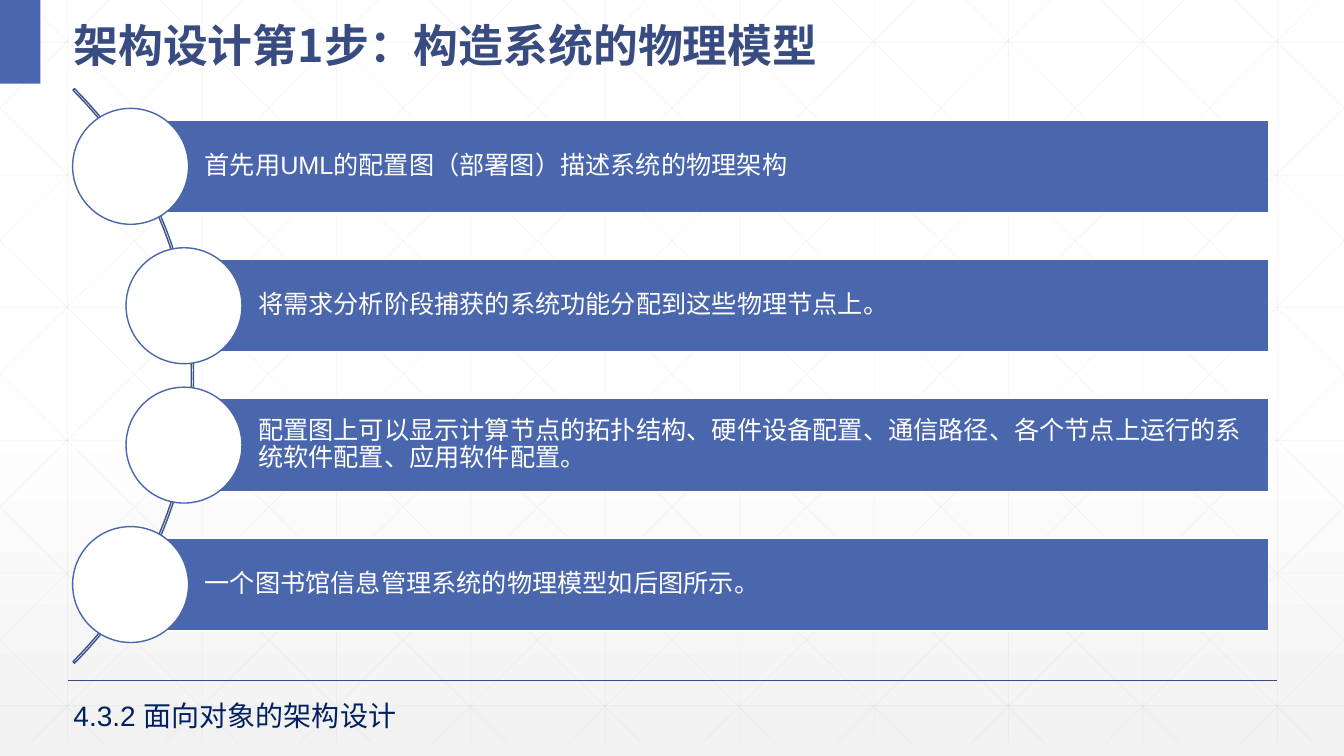
from lxml.etree import SubElement as Sub
from pptx import Presentation
from pptx.dml.color import RGBColor as RGB
from pptx.enum.shapes import MSO_CONNECTOR as Link, MSO_SHAPE as Form
from pptx.enum.text import MSO_ANCHOR as Anchor, PP_ALIGN as Align
from pptx.oxml.ns import qn
from pptx.util import Inches, Pt


class Theme:
    blue = RGB.from_string("4A66AC")
    navy = RGB.from_string("384C81")
    arc = RGB.from_string("3B528A")
    foot = RGB.from_string("002060")
    white = RGB.from_string("FFFFFF")
    pale = RGB.from_string("F2F2F2")
    mesh = RGB.from_string("D9D9D9")
    latin, asian = "Arial", "Noto Sans CJK SC"
    title, body, note = Pt(32), Pt(18), Pt(20)


def rule(x1, y1, x2, y2, color, width, alpha=100):
    """Draw a straight line without shadow; alpha is its opacity in percent."""
    line = shapes.add_connector(
        Link.STRAIGHT, Inches(x1), Inches(y1), Inches(x2), Inches(y2))
    line.line.color.rgb = color
    line.line.width = Pt(width)
    props = line._element.spPr
    Sub(props, qn("a:effectLst"))
    if alpha < 100:
        tint = props.find(".//" + qn("a:srgbClr"))
        Sub(tint, qn("a:alpha")).set("val", str(alpha * 1000))


def write(shape, text, size, color, font, bold=False):
    frame = shape.text_frame
    frame.text = text
    frame.word_wrap = True
    para = frame.paragraphs[0]
    para.alignment = Align.LEFT
    run = para.runs[0]
    run.font.size, run.font.bold, run.font.name = size, bold, font
    run.font.color.rgb = color
    Sub(run._r.get_or_add_rPr(), qn("a:ea")).set("typeface", Theme.asian)
    return frame


deck = Presentation()
deck.slide_width, deck.slide_height = Inches(13.33), Inches(7.5)
slide = deck.slides.add_slide(deck.slide_layouts[6])
shapes = slide.shapes

# Background
back = slide.background.fill
back.gradient()
back.gradient_angle = 270
for stop, place, color in zip(
        back.gradient_stops, (0.53, 1), (Theme.white, Theme.pale)):
    stop.position = place
    stop.color.rgb = color

# Mesh: upright, level and both families of slanted lines
wide, high, step, slope = 13.33, 7.37, 4 / 3, 0.99
mesh = [(0.67 + step * i, 0, 0.67 + step * i, high) for i in range(10)]
mesh += [(0, 0.42 + 1.316 * i, wide, 0.42 + 1.316 * i) for i in range(6)]
for i in range(-5, 10):
    start = 0.25 + step * i
    left, right = max(start, 0), min(start + high / slope, wide)
    top, low = (left - start) * slope, (right - start) * slope
    mesh += [(left, top, right, low), (wide - left, top, wide - right, low)]
for ends in mesh:
    rule(*ends, Theme.mesh, 0.5, 25)

# Frame and title
rule(0.67, 6.75, 12.67, 6.75, Theme.navy, 1)
tab = shapes.add_shape(Form.RECTANGLE, 0, 0, Inches(0.4), Inches(0.83))
tab.shadow.inherit = False
tab.fill.solid()
tab.fill.fore_color.rgb = Theme.blue
tab.line.fill.background()

title = shapes.add_textbox(Inches(0.63), 0, Inches(8.19), Inches(0.73))
frame = write(title, "架构设计第1步：构造系统的物理模型",
              Theme.title, Theme.navy, Theme.asian, True)
frame.vertical_anchor = Anchor.MIDDLE
frame.paragraphs[0].line_spacing = 1.3

# Curved list
arc = shapes.add_shape(Form.BLOCK_ARC, Inches(-6.14), Inches(-0.3),
                       Inches(8.06), Inches(8.06))
arc.shadow.inherit = False
for i, value in enumerate((189, 27, 0.0027)):
    arc.adjustments[i] = value
arc.fill.background()
arc.line.color.rgb = Theme.arc
arc.line.width = Pt(1)

steps = [
    (1.3, "首先用UML的配置图（部署图）描述系统的物理架构"),
    (1.83, "将需求分析阶段捕获的系统功能分配到这些物理节点上。"),
    (1.83, "配置图上可以显示计算节点的拓扑结构、硬件设备配置、通信路径、"
           "各个节点上运行的系统软件配置、应用软件配置。"),
    (1.3, "一个图书馆信息管理系统的物理模型如后图所示。"),
]
for i, (left, text) in enumerate(steps):
    top = 1.19 + 1.383 * i
    bar = shapes.add_shape(Form.RECTANGLE, Inches(left), Inches(top),
                           Inches(12.58 - left), Inches(0.92))
    disc = shapes.add_shape(Form.OVAL, Inches(left - 0.58),
                            Inches(top - 0.115), Inches(1.15), Inches(1.15))
    for part, fill, edge in ((bar, Theme.blue, Theme.white),
                             (disc, Theme.white, Theme.blue)):
        part.shadow.inherit = False
        part.fill.solid()
        part.fill.fore_color.rgb = fill
        part.line.color.rgb = edge
        part.line.width = Pt(1)
    frame = write(bar, text, Theme.body, Theme.white, Theme.latin)
    frame.vertical_anchor = Anchor.MIDDLE
    frame.margin_left = Inches(0.73)
    frame.margin_right = Inches(0.05)
    frame.paragraphs[0].line_spacing = 0.9
    frame.paragraphs[0].space_after = Pt(6.3)

# Footer
foot = shapes.add_textbox(Inches(0.63), Inches(6.88), Inches(4.69), Inches(0.44))
write(foot, "4.3.2 面向对象的架构设计", Theme.note, Theme.foot, Theme.latin)

deck.save("out.pptx")
